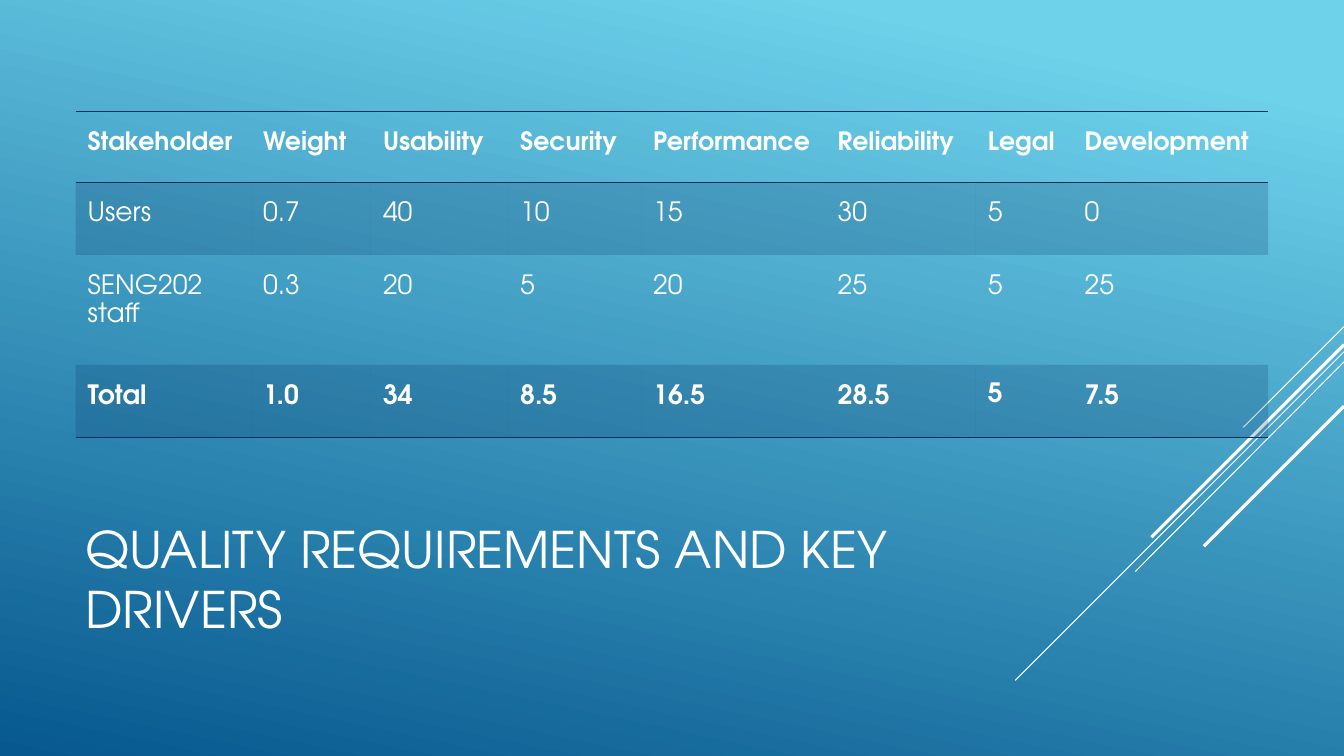
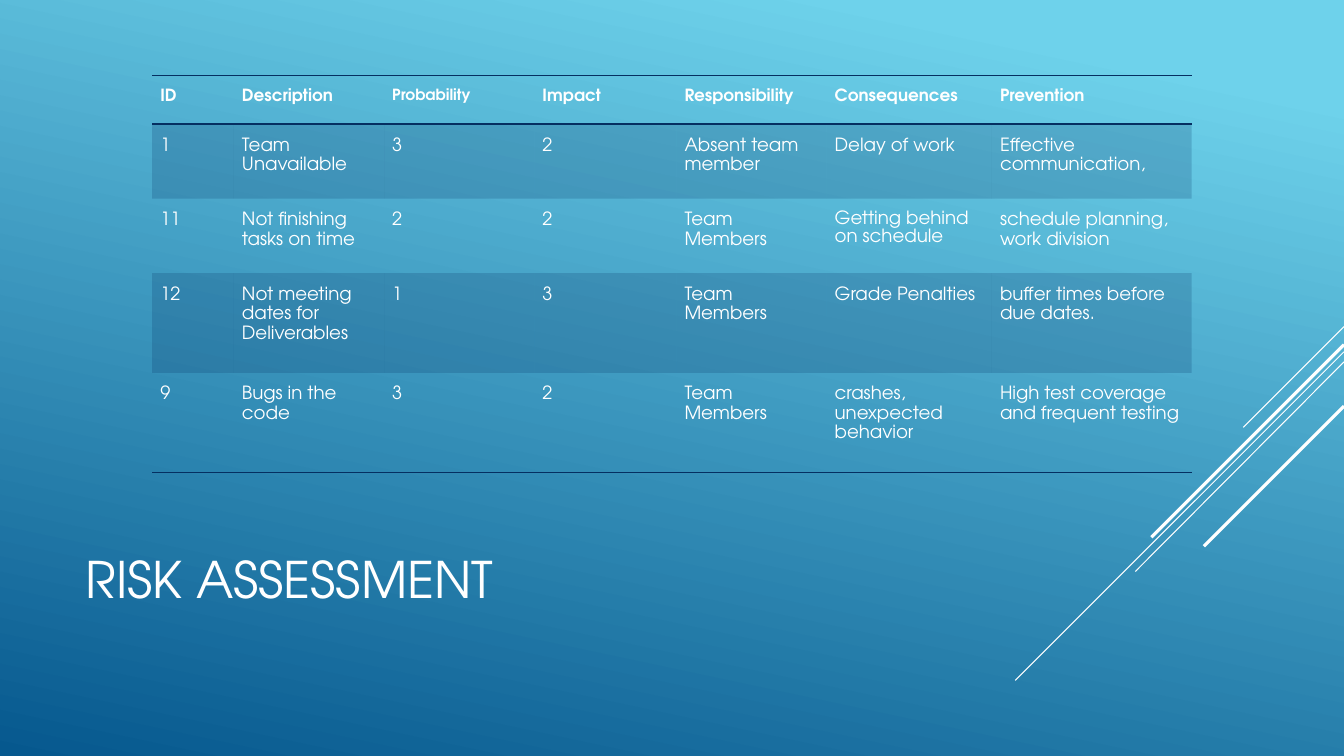
from lxml import etree
from pptx import Presentation
from pptx import util as u
from pptx.dml.color import RGBColor
from pptx.enum import shapes, text
from pptx.oxml.ns import qn

SKY = RGBColor(0x6E, 0xD2, 0xEB)
OCEAN = RGBColor(0x06, 0x58, 0x8E)
NAVY = RGBColor(0x05, 0x2F, 0x61)
WHITE = RGBColor(0xFF, 0xFF, 0xFF)
FONT = "TeX Gyre Adventor"
NO_STYLE = "{2D5ABB26-0587-4C30-8999-92F81FD0307C}"

SLIDE_W, SLIDE_H = 13.33, 7.5
TITLE_BOX = (0.75, 4.91, 9.33, 1.65)

# Diagonal rays from the right edge: start y, end x, end y, width
RAYS = [
    (3.24, 12.33, 4.24, 0.75),
    (3.49, 10.07, 6.75, 0.75),
    (3.59, 11.26, 5.67, 0.75),
    (3.42, 11.42, 5.33, 2.25),
    (4.03, 11.94, 5.42, 2.25),
]

TIGHT = {"line_spacing": 1.07, "space_after": u.Pt(8)}

# Tables: "special" holds the few cells whose format differs
QUALITY = {
    "at": (0.75, 1.11),
    "cols": [1.74, 1.19, 1.36, 1.32, 1.83, 1.49, 0.96, 1.94],
    "heights": [0.7, 0.72, 1.09, 0.72],
    "margins": (0.12, 0.16),
    "sizes": (18, 19),
    "bold_rows": {0, 3},
    "special": {(3, 6): {"para": TIGHT}},
    "rows": [
        ["Stakeholder", "Weight", "Usability", "Security", "Performance",
         "Reliability", "Legal", "Development"],
        ["Users", "0.7", "40", "10", "15", "30", "5", "0"],
        ["SENG202 staff", "0.3", "20", "5", "20", "25", "5", "25"],
        ["Total", "1.0", "34", "8.5", "16.5", "28.5", "5", "7.5"],
    ],
}

RISKS = {
    "at": (1.51, 0.75),
    "cols": [0.81, 1.49, 1.49, 1.41, 1.49, 1.64, 1.98],
    "heights": [0.48, 0.74, 0.74, 0.99, 0.99],
    "margins": (0.08, 0.11),
    "sizes": (12, 13),
    "bold_rows": {0},
    "special": {(0, 2): {"font": {"size": u.Pt(11)}}, (2, 5): {"para": TIGHT}},
    "rows": [
        ["ID", "Description", "Probability", "Impact", "Responsibility",
         "Consequences", "Prevention"],
        ["1", "Team Unavailable", "3", "2", "Absent team member",
         "Delay of work", "Effective communication,"],
        ["11", "Not finishing tasks on time", "2", "2", "Team Members",
         "Getting behind on schedule", "schedule planning, work division"],
        ["12", "Not meeting dates for Deliverables", "1", "3", "Team Members",
         "Grade Penalties", "buffer times before due dates."],
        ["9", "Bugs in the code", "3", "2", "Team Members",
         "crashes, unexpected behavior",
         "High test coverage and frequent testing"],
    ],
}


def set_attrs(obj, values):
    for name, value in values.items():
        setattr(obj, name, value)


def write(p, content, font):
    r = p.add_run()
    r.text = content
    set_attrs(r.font, {"name": FONT, **font})
    r.font.color.rgb = WHITE


# Shared look
def set_background(prs):
    fill = prs.slide_master.background.fill
    fill.gradient()
    fill.gradient_angle = 360 - 102
    for stop, position, color in zip(fill.gradient_stops, (0.1, 1), (SKY, OCEAN)):
        stop.position = position
        stop.color.rgb = color


def add_rays(s):
    for y, end_x, end_y, width in RAYS:
        ray = s.shapes.add_connector(
            shapes.MSO_CONNECTOR.STRAIGHT,
            *map(u.Inches, (SLIDE_W, y, end_x, end_y)))
        ray.line.color.rgb = WHITE
        ray.line.width = u.Pt(width)
        etree.SubElement(ray._element.spPr, qn("a:effectLst"))


def add_title(s, title):
    tf = s.shapes.add_textbox(*map(u.Inches, TITLE_BOX)).text_frame
    set_attrs(tf, {"word_wrap": True,
                   "vertical_anchor": text.MSO_ANCHOR.MIDDLE})
    write(tf.paragraphs[0], title, {"size": u.Pt(36)})


# Table parts
def shade(cell):
    cell.fill.solid()
    cell.fill.fore_color.rgb = NAVY
    color = cell._tc.tcPr.find(".//" + qn("a:srgbClr"))
    etree.SubElement(color, qn("a:alpha"), val="20000")


def add_borders(cell, sides):
    tcPr = cell._tc.get_or_add_tcPr()
    for i, side in enumerate(sides):
        ln = etree.Element(qn("a:ln" + side), w=str(u.Pt(1)))
        fill = etree.SubElement(ln, qn("a:solidFill"))
        etree.SubElement(fill, qn("a:srgbClr"), val=str(NAVY))
        tcPr.insert(i, ln)


def add_data_table(s, data):
    rows, cols, heights = data["rows"], data["cols"], data["heights"]
    box = (*data["at"], sum(cols), sum(heights))
    table = s.shapes.add_table(len(rows), len(cols), *map(u.Inches, box)).table
    set_attrs(table, {"first_row": False, "horz_banding": False})
    table._tbl.tblPr.find(qn("a:tableStyleId")).text = NO_STYLE
    for col, width in zip(table.columns, cols):
        col.width = u.Inches(width)
    for row, height in zip(table.rows, heights):
        row.height = u.Inches(height)

    side, top = map(u.Inches, data["margins"])
    margins = {"margin_left": side, "margin_right": side,
               "margin_top": top, "margin_bottom": top}
    for i, row in enumerate(rows):
        size = data["sizes"][min(i, 1)]
        borders = "TB" if i == 0 else "B" if i == len(rows) - 1 else ""
        for j, content in enumerate(row):
            cell = table.cell(i, j)
            special = data["special"].get((i, j), {})
            set_attrs(cell, margins)
            if i % 2:
                shade(cell)
            else:
                cell.fill.background()
            add_borders(cell, borders)
            p = cell.text_frame.paragraphs[0]
            set_attrs(p, {"line_spacing": 1.15, **special.get("para", {})})
            write(p, content, {"size": u.Pt(size),
                               "bold": i in data["bold_rows"],
                               **special.get("font", {})})


def main():
    prs = Presentation()
    prs.slide_width, prs.slide_height = u.Inches(SLIDE_W), u.Inches(SLIDE_H)
    set_background(prs)
    for title, data in (("QUALITY REQUIREMENTS AND KEY DRIVERS", QUALITY),
                        ("RISK ASSESSMENT", RISKS)):
        s = prs.slides.add_slide(prs.slide_layouts[6])
        add_rays(s)
        add_title(s, title)
        add_data_table(s, data)
    prs.save("out.pptx")


if __name__ == "__main__":
    main()
